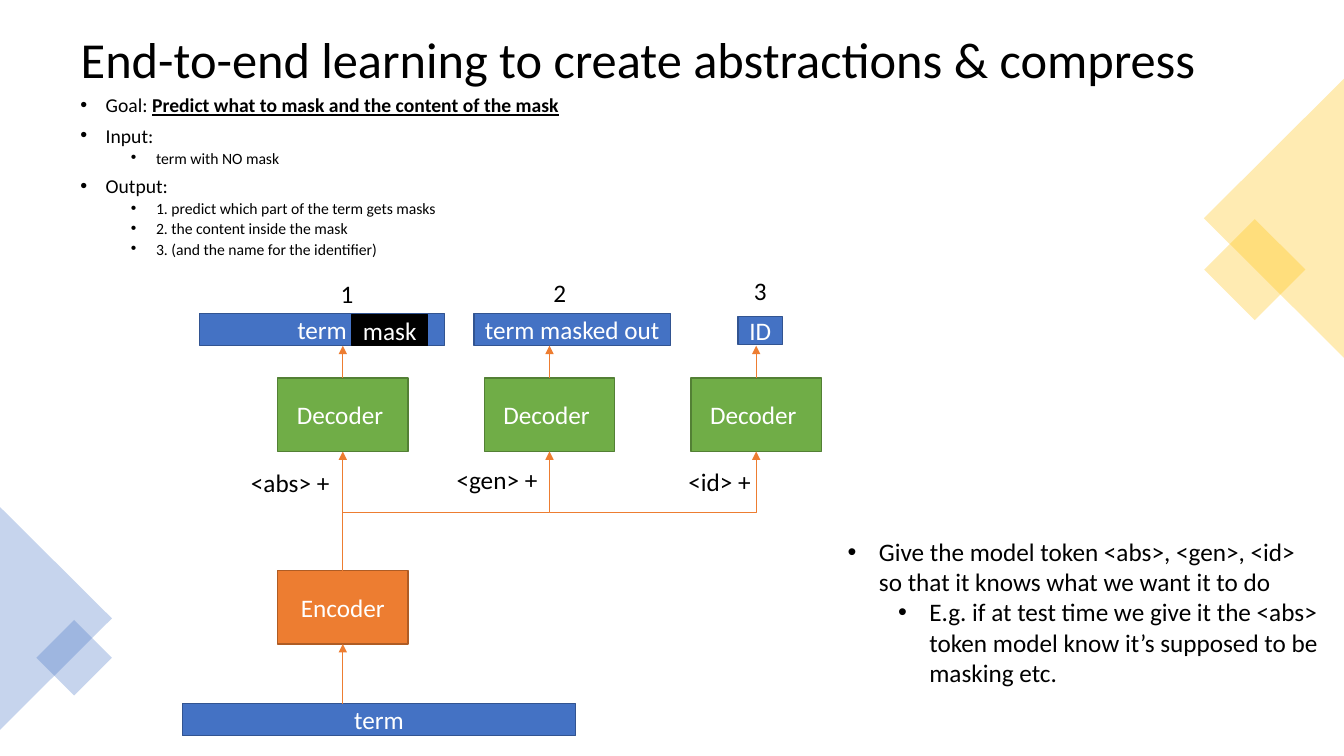
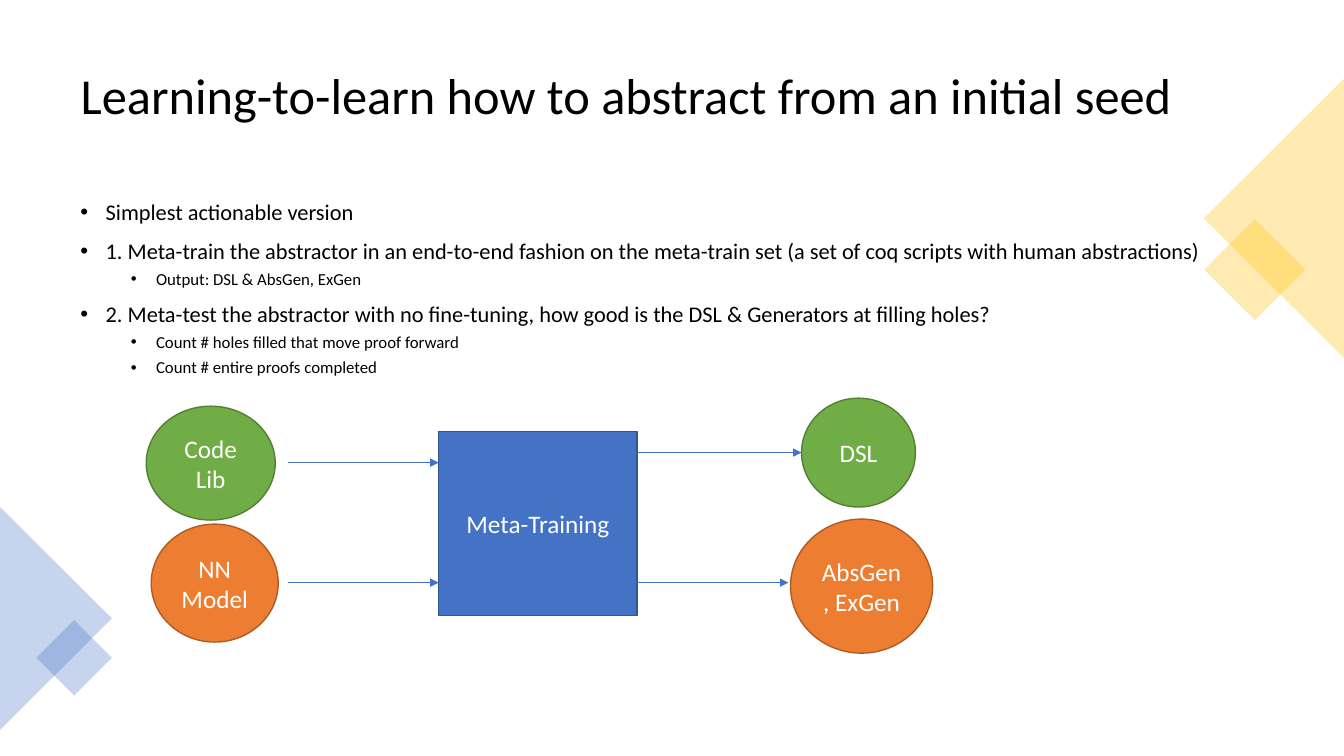
import pptx
import pptx.util
import pptx.dml.color
import pptx.enum.shapes
import pptx.enum.text
import pptx.oxml
import pptx.oxml.ns

Inches = pptx.util.Inches
Pt = pptx.util.Pt
FORM = pptx.enum.shapes.MSO_SHAPE
LINK = pptx.enum.shapes.MSO_CONNECTOR
ALIGN = pptx.enum.text.PP_ALIGN
MIDDLE = pptx.enum.text.MSO_ANCHOR.MIDDLE
BLUE, GREEN, ORANGE, GOLD = "4472C4", "70AD47", "ED7D31", "FFC000"
BLACK, WHITE = "000000", "FFFFFF"
EDGES = {BLUE: "325491", GREEN: "538035", ORANGE: "AF5C24", BLACK: BLACK}


def paint(code):
    return pptx.dml.color.RGBColor.from_string(code)


def apply(item, values):
    for name, value in values.items():
        setattr(item, name, value)


def child(parent, tag, **values):
    node = pptx.oxml.parse_xml(f"<{tag} {pptx.oxml.ns.nsdecls('a')}/>")
    for name, value in values.items():
        node.set(name, str(value))
    parent.append(node)


def write(para, text, size=18, color=BLACK, **extra):
    run = para.add_run()
    run.text = text
    apply(run.font, {"name": "Calibri", "size": Pt(size), **extra})
    run.font.color.rgb = paint(color)


def block(slide, form, box, fill, text="", wrap=True):
    shape = slide.shapes.add_shape(form, *map(Inches, box))
    shape.shadow.inherit = False
    shape.fill.solid()
    shape.fill.fore_color.rgb = paint(fill)
    shape.line.color.rgb = paint(EDGES.get(fill, fill))
    shape.line.width = Pt(1)
    if text:
        frame = shape.text_frame
        apply(frame, {"word_wrap": wrap, "vertical_anchor": MIDDLE})
        frame.paragraphs[0].alignment = ALIGN.CENTER
        write(frame.paragraphs[0], text, color=WHITE)
    return shape


def arrow(slide, start, end, color, bent=False):
    kind = LINK.ELBOW if bent else LINK.STRAIGHT
    line = slide.shapes.add_connector(kind, *map(Inches, start + end))
    line.line.color.rgb = paint(color)
    line.line.width = Pt(0.5)
    props = line._element.spPr
    if bent:
        props.prstGeom.set("prst", "bentConnector2")
    child(line.line._get_or_add_ln(), "a:tailEnd", type="triangle")
    child(props, "a:effectLst")


def label(slide, left, top, text, width):
    area = slide.shapes.add_textbox(*map(Inches, (left, top, width, 0.4)))
    area.text_frame.word_wrap = False
    write(area.text_frame.paragraphs[0], text)


def bullets(slide, box, items, sizes, indent=0.25, format=None, gaps=(0, 0)):
    frame = slide.shapes.add_textbox(*map(Inches, box)).text_frame
    frame.word_wrap = True
    for index, (level, text, *strong) in enumerate(items):
        para = frame.paragraphs[0] if index == 0 else frame.add_paragraph()
        apply(para, {"level": level, "space_before": Pt(gaps[level]), **(format or {})})
        props = para._p.get_or_add_pPr()
        props.set("marL", str(Inches(indent + level * 0.5)))
        props.set("indent", str(-Inches(indent)))
        child(props, "a:buFont", typeface="Arial")
        child(props, "a:buChar", char="•")
        write(para, text, sizes[level])
        for part in strong:
            write(para, part, sizes[level], bold=True, underline=True)


def corners(slide):
    for form, box, turn, color in [
        (FORM.RECTANGLE, (12.09, 2.32, 0.71, 0.71), 45, GOLD),
        (FORM.ISOSCELES_TRIANGLE, (11.25, 1.47, 2.77, 1.39), 270, GOLD),
        (FORM.ISOSCELES_TRIANGLE, (-0.55, 5.58, 2.21, 1.11), 90, BLUE),
        (FORM.RECTANGLE, (0.47, 6.26, 0.53, 0.53), 45, BLUE),
    ]:
        shape = block(slide, form, box, color)
        shape.rotation = turn
        shape.line.fill.background()
        tint = shape._element.spPr.find(".//" + pptx.oxml.ns.qn("a:srgbClr"))
        child(tint, "a:alpha", val=30000)


def start(deck, text, top):
    slide = deck.slides.add_slide(deck.slide_layouts[5])
    title = slide.shapes.title
    sides = zip(("left", "top", "width", "height"), (0.7, top, 11.93, 1.24))
    apply(title, {name: Inches(value) for name, value in sides})
    apply(title.text_frame, {"word_wrap": True, "vertical_anchor": MIDDLE})
    para = title.text_frame.paragraphs[0]
    apply(para, {"alignment": ALIGN.LEFT, "line_spacing": 0.9})
    write(para, text, 36)
    corners(slide)
    return slide


def coder(slide, left, top):
    wide, high = 1.29, 0.73
    center, fork = left + 1.59, top + 2.4
    bars = [
        ("term", 0.17, 0.43, 2.43, 0.32),
        ("mask", 1.68, 0.44, 0.75, 0.31),
        ("term masked out", 2.89, 0.43, 1.95, 0.32),
        ("ID", 5.51, 0.46, 0.44, 0.28),
        ("term", 0, 4.3, 3.9, 0.32),
    ]
    for text, x, y, width, height in bars:
        block(slide, FORM.RECTANGLE, (left + x, top + y, width, height), BLUE if text != "mask" else BLACK, text, False)
    block(slide, FORM.RECTANGLE, (center - wide / 2, top + 2.98, wide, high), ORANGE, "Encoder")
    arrow(slide, (center, top + 4.3), (center, top + 3.71), ORANGE)
    arrow(slide, (center, top + 2.98), (center, top + 1.8), ORANGE)
    heads = [
        ("1", 1.47, 0.03, "<abs> +", 0.58, 1.91, 0.99),
        ("2", 3.58, 0.02, "<gen> +", 2.62, 1.88, 1.02),
        ("3", 5.57, 0, "<id> +", 4.92, 1.9, 0.83),
    ]
    for index, (digit, x, y, token, across, down, width) in enumerate(heads):
        middle = center + index * 2.05
        block(slide, FORM.RECTANGLE, (middle - wide / 2, top + 1.07, wide, high), GREEN, "Decoder ")
        arrow(slide, (middle, top + 1.07), (middle, top + 0.75), ORANGE)
        if index:
            arrow(slide, (middle - 2.05, fork), (middle, top + 1.8), ORANGE, True)
        label(slide, left + x, top + y, digit, 0.33)
        label(slide, left + across, top + down, token, width)


def trainer(slide, left, top):
    block(slide, FORM.RECTANGLE, (left + 2.9, top + 0.33, 1.97, 1.83), BLUE, "Meta-Training")
    for text, x, y, width, height, color in [
        ("Code Lib", 0, 0.08, 1.28, 1.13, GREEN),
        ("NN Model", 0.05, 1.25, 1.26, 1.17, ORANGE),
        ("DSL", 6.5, 0, 1.13, 1.08, GREEN),
        ("AbsGen, ExGen", 6.39, 1.2, 1.41, 1.33, ORANGE),
    ]:
        block(slide, FORM.OVAL, (left + x, top + y, width, height), color, text)
    for x, y, end in [(1.41, 0.64, 2.9), (1.41, 1.83, 2.9), (4.87, 0.54, 6.5), (4.87, 1.83, 6.37)]:
        arrow(slide, (left + x, top + y), (left + end, top + y), BLUE)


def compress(deck):
    slide = start(deck, "End-to-end learning to create abstractions & compress", 0)
    bullets(slide, (0.7, 0.94, 12.63, 1.77), [
        (0, "Goal: ", "Predict what to mask and the content of the mask"),
        (0, "Input: "),
        (1, "term with NO mask"),
        (0, "Output: "),
        (1, "1. predict which part of the term gets masks "),
        (1, "2. the content inside the mask"),
        (1, "3. (and the name for the identifier)"),
    ], (14, 11.2), format={"line_spacing": 0.7}, gaps=(10, 5))
    coder(slide, 1.81, 2.68)
    bullets(slide, (8.31, 5.27, 4.9, 1.62), [
        (0, "Give the model token <abs>, <gen>, <id> so that it knows what we want it to do"),
        (1, "E.g. if at test time we give it the <abs> token model know it’s supposed to be masking etc."),
    ], (18, 18), 0.31)


def learn(deck):
    slide = start(deck, "Learning-to-learn how to abstract from an initial seed", 0.35)
    bullets(slide, (0.7, 1.95, 12.53, 5.55), [
        (0, "Simplest actionable version"),
        (0, "1. Meta-train the abstractor in an end-to-end fashion on the meta-train set "
            "(a set of coq scripts with human abstractions)"),
        (1, "Output: DSL & AbsGen, ExGen"),
        (0, "2. Meta-test the abstractor with no fine-tuning, how good is the DSL & Generators at filling holes?"),
        (1, "Count # holes filled that move proof forward"),
        (1, "Count # entire proofs completed"),
    ], (16, 12), format={"line_spacing": 0.9}, gaps=(10, 5))
    trainer(slide, 1.45, 3.95)


deck = pptx.Presentation()
apply(deck, {"slide_width": Inches(13.33), "slide_height": Inches(7.5)})
compress(deck)
learn(deck)
deck.save("out.pptx")
